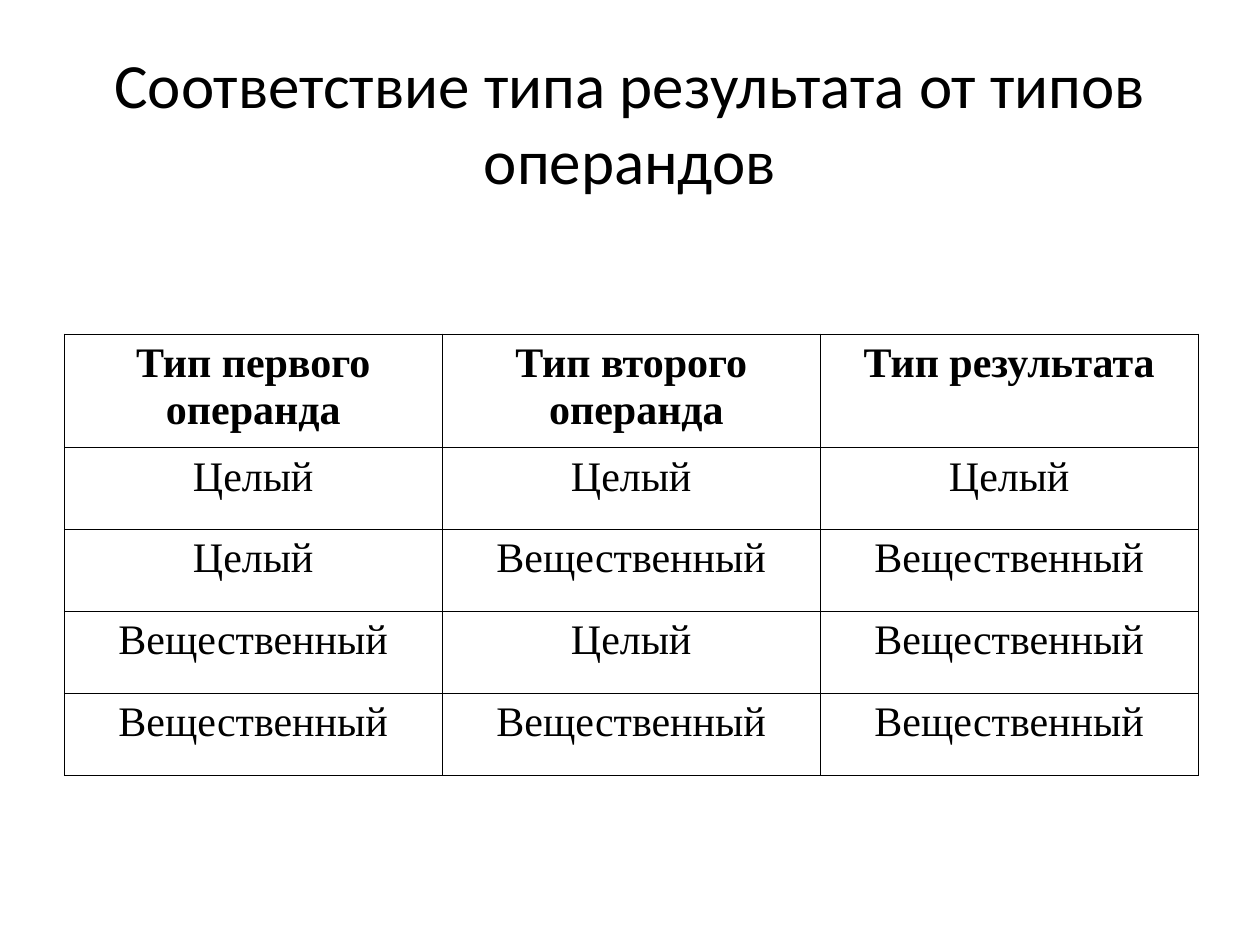
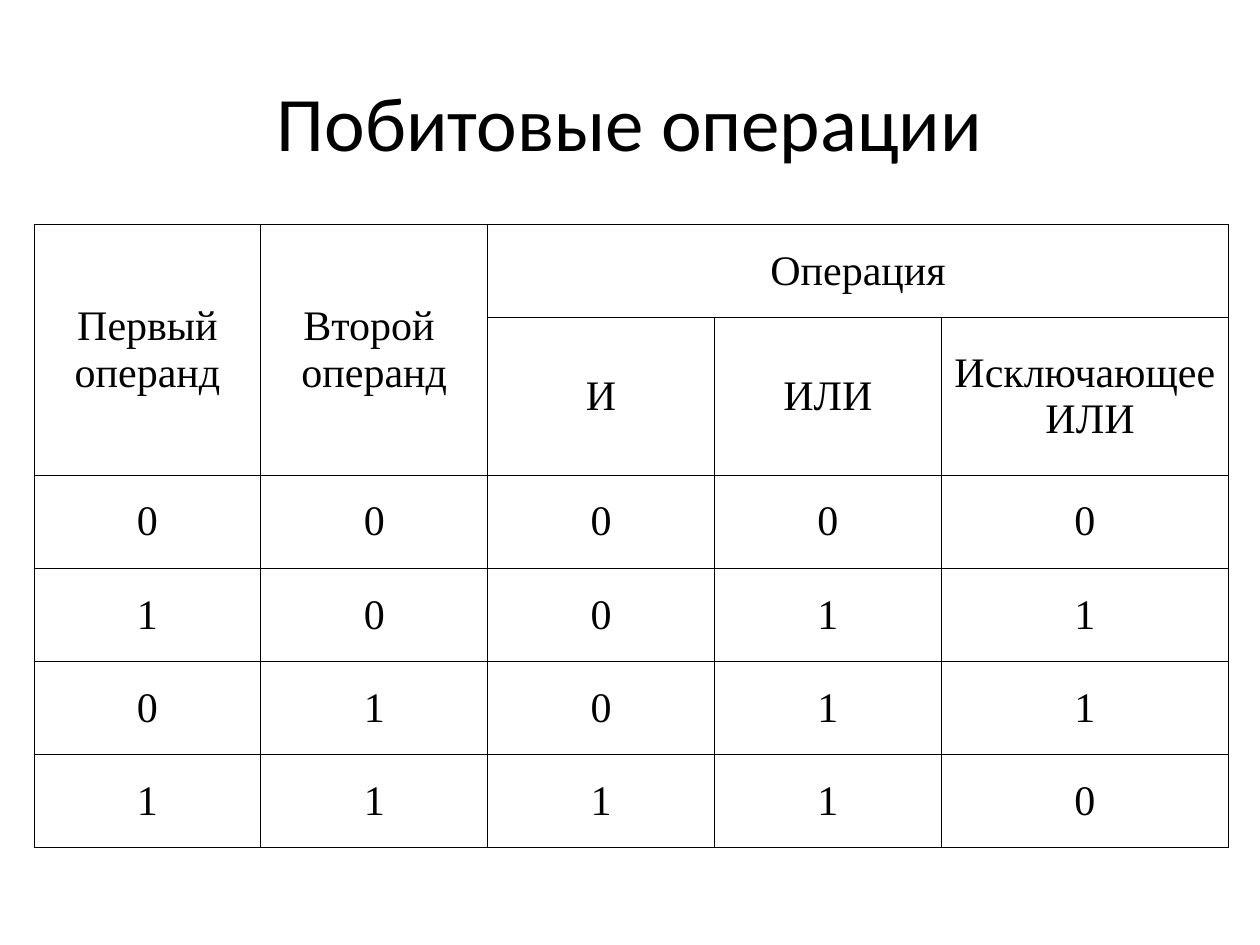
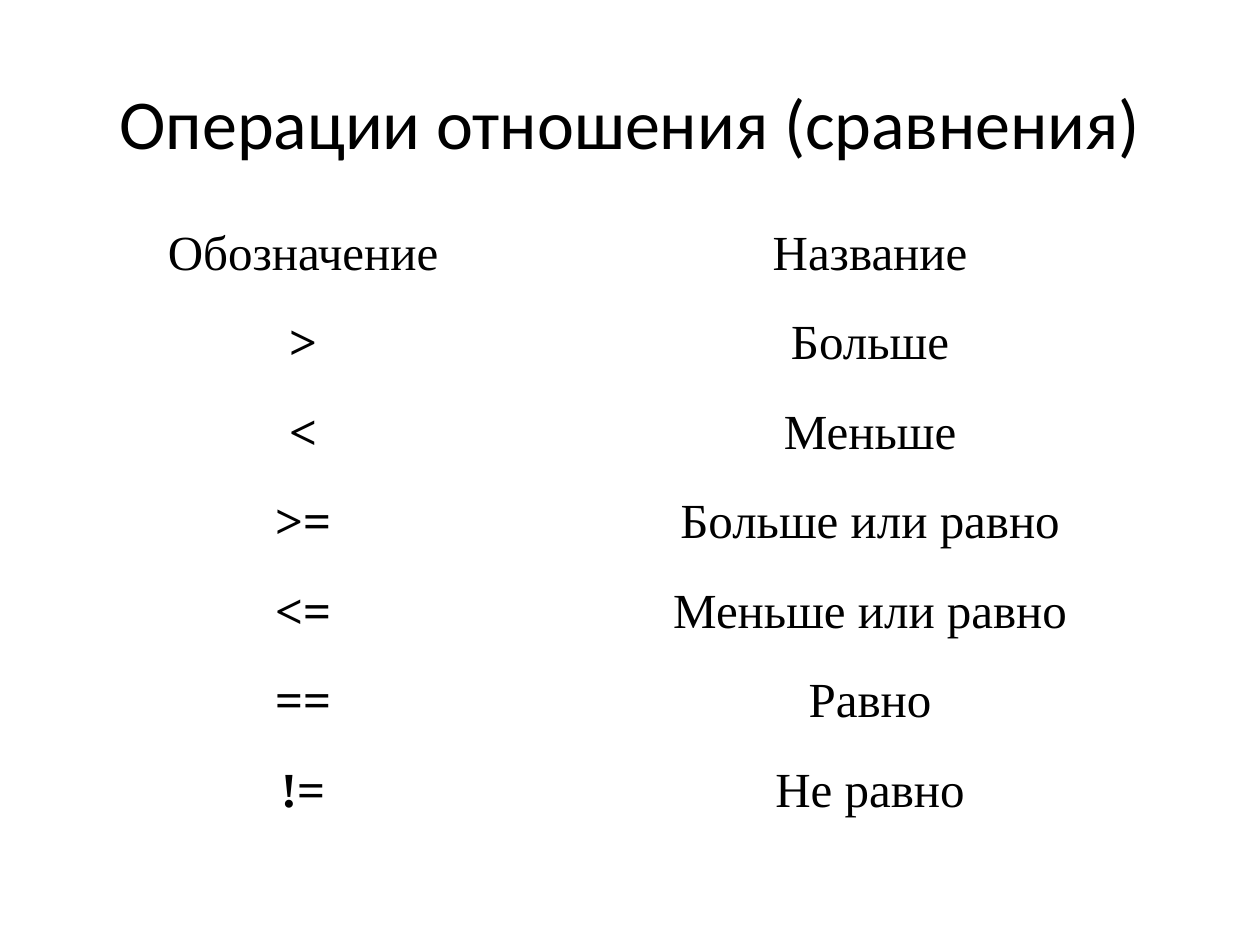
from lxml import etree
from pptx import Presentation
from pptx import util as u
from pptx.dml import color
from pptx.enum import text
from pptx.oxml import ns

BLACK = "000000"
TITLE_FONT = "Calibri"
TABLE_FONT = "Times New Roman"
BORDER_WIDTH = u.Pt(0.45)


def rgb(value):
    return color.RGBColor.from_string(value)


def write_lines(frame, lines, font_name, size, bold=False):
    for index, line in enumerate(lines):
        paragraph = frame.paragraphs[0] if index == 0 else frame.add_paragraph()
        paragraph.alignment = text.PP_ALIGN.CENTER
        run = paragraph.add_run()
        run.text = line
        run.font.name = font_name
        run.font.size = u.Pt(size)
        run.font.bold = bold
        run.font.color.rgb = rgb(BLACK)


def add_titled_slide(presentation, title, size):
    slide = presentation.slides.add_slide(presentation.slide_layouts[6])
    box = slide.shapes.add_textbox(
        u.Inches(0.5), u.Inches(0.3), u.Inches(9), u.Inches(1.25))
    frame = box.text_frame
    frame.word_wrap = True
    frame.margin_top = u.Inches(0.12)
    frame.vertical_anchor = text.MSO_ANCHOR.MIDDLE
    write_lines(frame, [title], TITLE_FONT, size)
    return slide


def add_borders(cell):
    properties = cell._tc.get_or_add_tcPr()
    for side in ("lnL", "lnR", "lnT", "lnB"):
        line = etree.SubElement(properties, ns.qn(f"a:{side}"), w=str(BORDER_WIDTH))
        fill = etree.SubElement(line, ns.qn("a:solidFill"))
        etree.SubElement(fill, ns.qn("a:srgbClr"), val=BLACK)


def add_grid(slide, left, top, widths, heights, rows, size,
             anchor=text.MSO_ANCHOR.TOP, bordered=True, is_bold=None):
    table = slide.shapes.add_table(
        len(rows), len(widths), u.Inches(left), u.Inches(top),
        u.Inches(sum(widths)), u.Inches(sum(heights))).table
    table.first_row = False
    table.horz_banding = False
    for column, width in zip(table.columns, widths):
        column.width = u.Inches(width)
    for row, height in zip(table.rows, heights):
        row.height = u.Inches(height)
    for row_index, row in enumerate(rows):
        for column_index, content in enumerate(row):
            cell = table.cell(row_index, column_index)
            if bordered:
                add_borders(cell)
            cell.fill.background()
            cell.vertical_anchor = anchor
            if content:
                bold = bool(is_bold and is_bold(row_index, column_index))
                write_lines(cell.text_frame, content.split("\n"), TABLE_FONT, size, bold)
    return table


def add_result_types(presentation):
    slide = add_titled_slide(
        presentation, "Соответствие типа результата от типов операндов", 36)
    whole, real = "Целый", "Вещественный"
    rows = [
        ["Тип первого\nоперанда", "Тип второго\n операнда", "Тип результата"],
        [whole, whole, whole],
        [whole, real, real],
        [real, whole, real],
        [real, real, real],
    ]
    add_grid(slide, 0.51, 2.65, [3] * 3, [0.9] + [0.65] * 4, rows, 24,
             is_bold=lambda row, column: row == 0)


def add_bitwise_operations(presentation):
    slide = add_titled_slide(presentation, "Побитовые операции", 44)
    rows = [
        ["Первый\nоперанд", "Второй \nоперанд", "Операция", "", ""],
        ["", "", "И", "ИЛИ", "Исключающее\n ИЛИ"],
    ]
    for first, second in ((0, 0), (1, 0), (0, 1), (1, 1)):
        values = (first, second, first & second, first | second, first ^ second)
        rows.append([str(value) for value in values])
    table = add_grid(slide, 0.27, 1.78, [1.8] * 4 + [2.28],
                     [0.74, 1.25] + [0.74] * 4, rows, 24,
                     anchor=text.MSO_ANCHOR.MIDDLE)
    for column in (0, 1):
        table.cell(0, column).merge(table.cell(1, column))
    table.cell(0, 2).merge(table.cell(0, 4))


def add_comparisons(presentation):
    slide = add_titled_slide(presentation, "Операции отношения (сравнения)", 40)
    rows = [
        ["Обозначение", "Название"],
        [">", "Больше"],
        ["<", "Меньше"],
        [">=", "Больше или равно"],
        ["<=", "Меньше или равно"],
        ["==", "Равно"],
        ["!=", "Не равно"],
    ]
    add_grid(slide, 0.5, 1.75, [3.81, 5.19], [0.71] * len(rows), rows, 28,
             bordered=False, is_bold=lambda row, column: row > 0 and column == 0)


def main():
    presentation = Presentation()
    presentation.slide_width = u.Inches(10)
    presentation.slide_height = u.Inches(7.5)
    add_result_types(presentation)
    add_bitwise_operations(presentation)
    add_comparisons(presentation)
    presentation.save("out.pptx")


if __name__ == "__main__":
    main()
